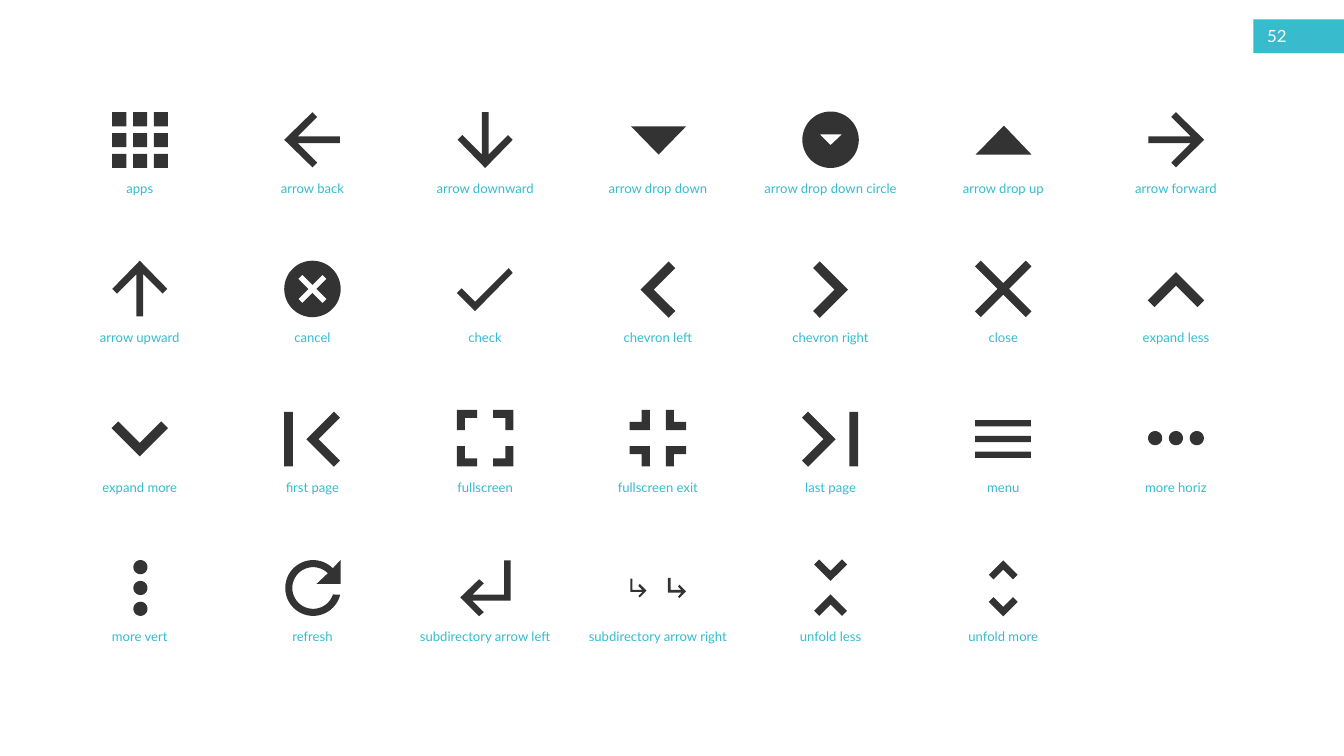
from math import cos, radians, sin

from pptx import Presentation
from pptx.dml.color import RGBColor
from pptx.enum.shapes import MSO_SHAPE as Preset
from pptx.enum.text import MSO_ANCHOR as Anchor, MSO_AUTO_SIZE as AutoSize, PP_ALIGN as Align
from pptx.util import Inches, Pt

COLORS = {"accent": "37BBCD", "icon": "333333", "white": "FFFFFF"}
LEFT, TOP = 2.08, 2.08
COLUMN_STEP, ROW_STEP, COLUMNS = 2.57, 2.22, 7
LABEL_WIDTH, LABEL_HEIGHT, LABEL_DROP = 2.78, 0.34, 0.56


def turn(points, quarters):
    for _ in range(quarters):
        points = [(-y, x) for x, y in points]
    return points


def shift(points, dx, dy):
    return [(x + dx, y + dy) for x, y in points]


def four_turns(points):
    return [turn(points, quarters) for quarters in range(4)]


def box(left, top, width, height):
    right, bottom = left + width, top + height
    return [(left, top), (right, top), (right, bottom), (left, bottom)]


def arc(radius, start, end, steps=60):
    angles = [radians(start + (end - start) * step / steps) for step in range(steps + 1)]
    return [(radius * cos(angle), radius * sin(angle)) for angle in angles]


def circle(radius, x=0, y=0):
    return shift(arc(radius, 0, 360)[:-1], x, y)


def chevron(half, band, quarters, dx=0, dy=0):
    tip = (half + band) / 2
    points = [(tip - half, -half), (tip, 0), (tip - half, half),
              (-tip, half - band), (tip - 2 * band, 0), (-tip, band - half)]
    return shift(turn(points, quarters), dx, dy)


def cross(half, band):
    arm = [(0, -band), (half - band, -half), (half, band - half)]
    return sum(four_turns(arm), [])


ARROW = [(0, -41), (-7, -34), (22, -5), (-41, -5), (-41, 5),
         (22, 5), (-7, 34), (0, 41), (42, 0)]
CORNER_OUT = [(-42, -42), (-12, -42), (-12, -30), (-30, -30), (-30, -12), (-42, -12)]
CORNER_IN = [(-24, -42), (-12, -42), (-12, -12), (-42, -12), (-42, -24), (-24, -24)]
CHECK = [(-15, 19), (-35, -1), (-42, 6), (-15, 33), (41, -24), (35, -31)]
REFRESH = arc(41.5, -45, -346) + arc(31, -342, -45) + [(5, -6), (41, -6), (41, -42)]
RETURN_LEFT = [(-9, -12), (-2, -6), (-19, 11), (28, 11), (28, -40), (38, -40),
               (38, 20), (-19, 20), (-2, 37), (-9, 43), (-37, 15)]
SMALL_RETURN = [(-17, 5), (-27, 15), (-29, 13), (-23, 7), (-41, 7), (-41, -13),
                (-38, -13), (-38, 4), (-23, 4), (-29, -2), (-27, -5)]
WIDE_RETURN = [(42, 6), (32, 16), (30, 14), (35, 8), (15, 8), (15, -14),
               (19, -14), (19, 4), (35, 4), (30, -1), (32, -4)]
DOT_STEPS = (-31, 0, 31)

ICONS = [
    ("apps", [box(x, y, 21, 21) for y in (-41, -10, 21) for x in (-41, -10, 21)]),
    ("arrow back", [turn(ARROW, 2)]),
    ("arrow downward", [turn(ARROW, 1)]),
    ("arrow drop down", [[(-40, -20), (1, 22), (42, -20)]]),
    ("arrow drop down circle", [circle(42), [(-16, -8), (17, -8), (0, 8)]]),
    ("arrow drop up", [[(-41, 22), (1, -21), (42, 22)]]),
    ("arrow forward", [ARROW]),
    ("arrow upward", [turn(ARROW, 3)]),
    ("cancel", [circle(42), cross(21, 6)]),
    ("check", [CHECK]),
    ("chevron left", [chevron(42, 10, 2, dy=1)]),
    ("chevron right", [chevron(42, 10, 0, dy=1)]),
    ("close", [cross(42, 8.5)]),
    ("expand less", [chevron(42, 10, 3, dy=1)]),
    ("expand more", [chevron(42, 10, 1, dy=1)]),
    ("first page", [chevron(41, 9, 2, 16, 1.5), box(-42, -39, 13, 81)]),
    ("fullscreen", four_turns(CORNER_OUT)),
    ("fullscreen exit", four_turns(CORNER_IN)),
    ("last page", [chevron(41, 9, 0, -17.5, 1.5), box(28, -39, 13, 81)]),
    ("menu", [box(-42, y, 83, 9.5) for y in (-27, -3.5, 20)]),
    ("more horiz", [circle(10.5, x, 0) for x in DOT_STEPS]),
    ("more vert", [circle(10.5, 1, y + 1) for y in DOT_STEPS]),
    ("refresh", [shift(REFRESH, 1, 1)]),
    ("subdirectory arrow left", [RETURN_LEFT]),
    ("subdirectory arrow right", [SMALL_RETURN, WIDE_RETURN]),
    ("unfold less", [chevron(24.5, 7.5, 1, dy=-25.5), chevron(24.5, 7.5, 3, dy=26.5)]),
    ("unfold more", [chevron(21.5, 7, 3, dy=-26), chevron(21.5, 7, 1, dy=29)]),
]


class IconSheet:
    def __init__(self, slide, font="Lato"):
        self.slide = slide
        self.font = font

    def paint(self, shape, color):
        shape.shadow.inherit = False
        shape.fill.solid()
        shape.fill.fore_color.rgb = RGBColor.from_string(COLORS[color])
        shape.line.fill.background()

    def rectangle(self, bounds, color):
        lengths = [Inches(value) for value in bounds]
        self.paint(self.slide.shapes.add_shape(Preset.RECTANGLE, *lengths), color)

    def text(self, bounds, words, size, color, align=Align.LEFT, **frame_format):
        lengths = [Inches(value) for value in bounds]
        frame = self.slide.shapes.add_textbox(*lengths).text_frame
        for name, value in {"word_wrap": True, **frame_format}.items():
            setattr(frame, name, value)
        paragraph = frame.paragraphs[0]
        paragraph.text = words
        paragraph.alignment = align
        for name, value in {"name": self.font, "size": Pt(size)}.items():
            setattr(paragraph.font, name, value)
        paragraph.font.color.rgb = RGBColor.from_string(COLORS[color])

    def icon(self, x, y, outlines):
        first, *others = [
            [(Inches(px / 100), Inches(py / 100)) for px, py in outline]
            for outline in outlines
        ]
        builder = self.slide.shapes.build_freeform(*first[0])
        builder.add_line_segments(first[1:], close=True)
        for outline in others:
            builder.move_to(*outline[0])
            builder.add_line_segments(outline[1:], close=True)
        self.paint(builder.convert_to_shape(Inches(x), Inches(y)), "icon")


def main():
    presentation = Presentation()
    presentation.slide_width = Inches(20)
    presentation.slide_height = Inches(11.25)
    sheet = IconSheet(presentation.slides.add_slide(presentation.slide_layouts[6]))

    sheet.rectangle((18.65, 0.29, 1.35, 0.5), "accent")
    sheet.text((18.76, 0.28, 0.67, 0.5), "52", 18, "white", vertical_anchor=Anchor.MIDDLE)

    for index, (label, outlines) in enumerate(ICONS):
        row, column = divmod(index, COLUMNS)
        x, y = LEFT + column * COLUMN_STEP, TOP + row * ROW_STEP
        bounds = (x - LABEL_WIDTH / 2, y + LABEL_DROP, LABEL_WIDTH, LABEL_HEIGHT)
        sheet.text(bounds, label, 14, "accent", Align.CENTER,
                   auto_size=AutoSize.SHAPE_TO_FIT_TEXT)
        sheet.icon(x, y, outlines)

    presentation.save("out.pptx")


if __name__ == "__main__":
    main()
